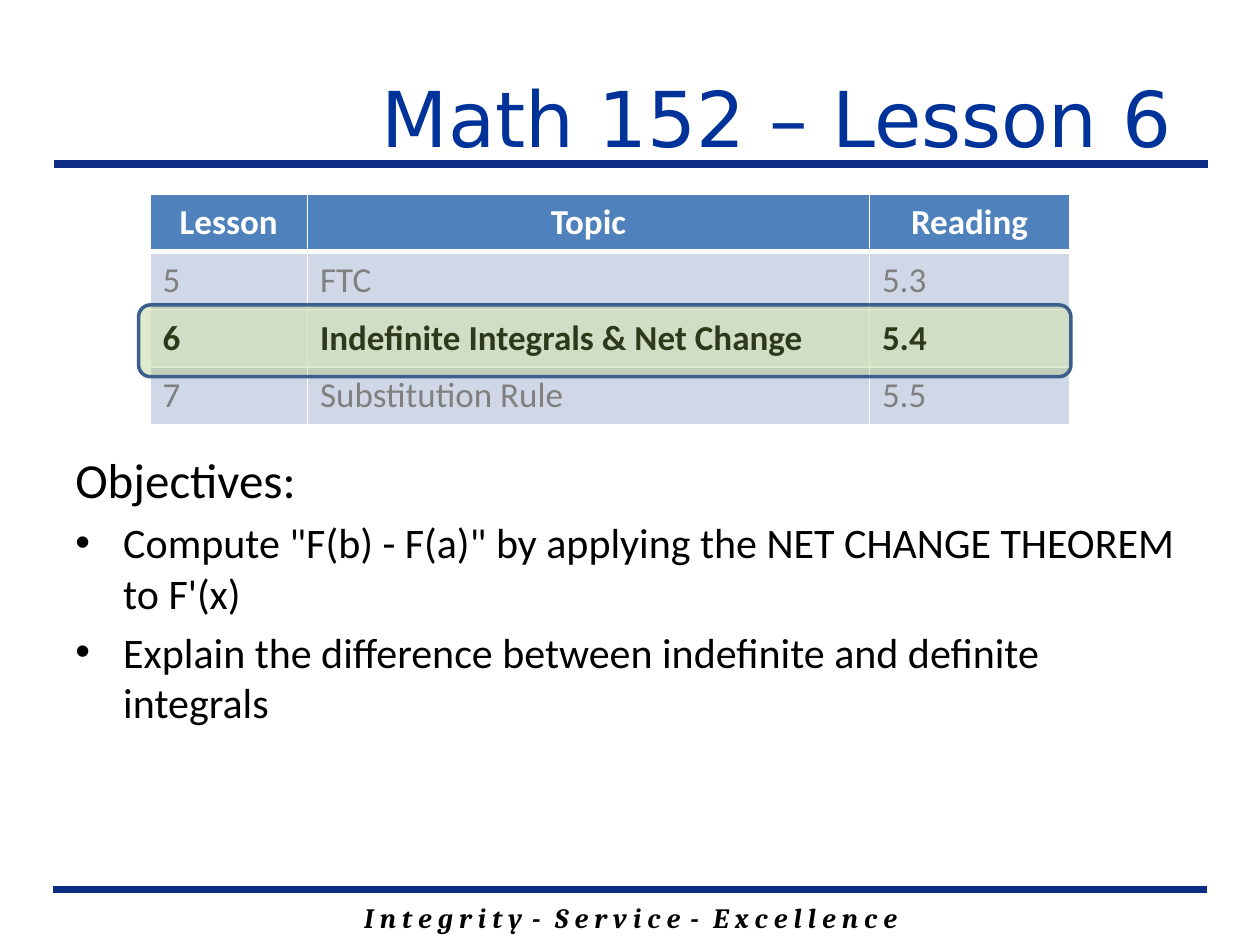
from dataclasses import dataclass

import pptx
import pptx.dml.color
import pptx.enum.shapes
import pptx.enum.text
import pptx.oxml
import pptx.oxml.ns
import pptx.util
from pptx.util import Inches

ALIGN = pptx.enum.text.PP_ALIGN
ANCHOR = pptx.enum.text.MSO_ANCHOR


@dataclass(frozen=True)
class Theme:
    title_color: str = "003399"
    rule_color: str = "0C2D83"
    ink: str = "000000"
    paper: str = "FFFFFF"
    muted: str = "808080"
    header_fill: str = "4F81BD"
    row_fills: tuple = ("D0D8E8", "E9EDF4")
    highlight: str = "9BBB59"
    highlight_line: str = "3A5F8C"
    body_font: str = "Calibri"
    title_font: str = "DejaVu Sans"
    footer_font: str = "Cambria"
    title_size: int = 44
    heading_size: int = 28
    bullet_size: int = 24
    table_size: int = 20
    footer_size: int = 16


THEME = Theme()
LESSONS = [
    ("Lesson", "Topic", "Reading"),
    ("5", "FTC", "5.3"),
    ("6", "Indefinite Integrals & Net Change", "5.4"),
    ("7", "Substitution Rule", "5.5"),
]
CURRENT_LESSON = 2
OBJECTIVES = [
    "Compute \"F(b) - F(a)\" by applying the NET CHANGE THEOREM to F'(x)",
    "Explain the difference between indefinite and definite integrals",
]
MOTTO = ("I n t e g r i t y", "S e r v i c e", "E x c e l l e n c e")


def rgb(color):
    return pptx.dml.color.RGBColor.from_string(color)


def add_xml(parent, xml):
    element = pptx.oxml.parse_xml(
        xml.replace(" ", f" {pptx.oxml.ns.nsdecls('a')} ", 1))
    parent.append(element)


def style_runs(paragraph, font, size, color, bold=False, italic=False):
    for run in paragraph.runs:
        run.font.name = font
        run.font.size = pptx.util.Pt(size)
        run.font.color.rgb = rgb(color)
        run.font.bold = bold
        run.font.italic = italic


def add_title(slide, text):
    title = slide.shapes.title
    title.left, title.top = Inches(1.8), Inches(0.3)
    title.width, title.height = Inches(7.8), Inches(1.25)
    title.text_frame.text = text
    title.text_frame.vertical_anchor = ANCHOR.MIDDLE
    paragraph = title.text_frame.paragraphs[0]
    paragraph.alignment = ALIGN.RIGHT
    style_runs(paragraph, THEME.title_font, THEME.title_size, THEME.title_color)


def add_rule(slide, left, top):
    rule = slide.shapes.add_connector(
        pptx.enum.shapes.MSO_CONNECTOR.STRAIGHT,
        Inches(left), Inches(top), Inches(left + 9.16), Inches(top))
    rule.line.color.rgb = rgb(THEME.rule_color)
    rule.line.width = pptx.util.Pt(4.5)
    add_xml(rule._element.spPr, "<a:effectLst />")


def add_text_frame(slide, left, top, width, height):
    box = slide.shapes.add_textbox(
        Inches(left), Inches(top), Inches(width), Inches(height))
    box.text_frame.word_wrap = True
    return box.text_frame


def add_motto(slide):
    paragraph = add_text_frame(slide, 1.42, 7.1, 7.17, 0.37).paragraphs[0]
    paragraph.alignment = ALIGN.CENTER
    for index, word in enumerate(MOTTO):
        if index:
            dash = paragraph.add_run()
            dash.text = " - "
            # Tracking in hundredths of a point widens the gaps around the dash.
            dash.font._element.set("spc", "230")
        paragraph.add_run().text = word
    style_runs(paragraph, THEME.footer_font, THEME.footer_size, THEME.ink,
               bold=True, italic=True)


def add_objectives(slide):
    frame = add_text_frame(slide, 0.5, 3.52, 9, 3.18)
    frame.text = "Objectives:"
    style_runs(frame.paragraphs[0], THEME.body_font, THEME.heading_size, THEME.ink)
    for objective in OBJECTIVES:
        paragraph = frame.add_paragraph()
        paragraph.text = objective
        paragraph.space_before = pptx.util.Pt(0.2 * THEME.bullet_size)
        properties = paragraph._p.get_or_add_pPr()
        properties.set("marL", str(Inches(0.38)))
        properties.set("indent", str(Inches(-0.38)))
        add_xml(properties, '<a:buFont typeface="Arial"/>')
        add_xml(properties, '<a:buChar char="•"/>')
        style_runs(paragraph, THEME.body_font, THEME.bullet_size, THEME.ink)


def set_borders(cell, top, bottom):
    """Draw the four cell edges; top and bottom are widths in points."""
    properties = cell._tc.get_or_add_tcPr()
    for edge, width in (("L", 1), ("R", 1), ("T", top), ("B", bottom)):
        add_xml(properties,
                f'<a:ln{edge} w="{pptx.util.Pt(width)}"><a:solidFill>'
                f'<a:srgbClr val="{THEME.paper}"/></a:solidFill></a:ln{edge}>')


def style_cell(cell, row):
    is_header = row == 0
    is_current = row == CURRENT_LESSON
    set_borders(cell, top=3 if row == 1 else 1, bottom=3 if is_header else 1)
    cell.fill.solid()
    cell.fill.fore_color.rgb = rgb(
        THEME.header_fill if is_header else THEME.row_fills[(row - 1) % 2])
    cell.vertical_anchor = ANCHOR.MIDDLE
    paragraph = cell.text_frame.paragraphs[0]
    paragraph.alignment = ALIGN.CENTER if is_header else ALIGN.LEFT
    color = THEME.paper if is_header else THEME.ink if is_current else THEME.muted
    style_runs(paragraph, THEME.body_font, THEME.table_size, color,
               bold=is_header or is_current)


def add_lesson_table(slide):
    schedule = slide.shapes.add_table(
        len(LESSONS), len(LESSONS[0]),
        Inches(1.19), Inches(1.54), Inches(7.3), Inches(1.83)).table
    for column, width in zip(schedule.columns, (1.25, 4.46, 1.59)):
        column.width = Inches(width)
    for row, lesson in enumerate(LESSONS):
        for column, text in enumerate(lesson):
            cell = schedule.cell(row, column)
            cell.text_frame.text = text
            style_cell(cell, row)


def add_highlight(slide):
    highlight = slide.shapes.add_shape(
        pptx.enum.shapes.MSO_SHAPE.ROUNDED_RECTANGLE,
        Inches(1.1), Inches(2.42), Inches(7.4), Inches(0.57))
    highlight.shadow.inherit = False
    highlight.fill.solid()
    highlight.fill.fore_color.rgb = rgb(THEME.highlight)
    tint = highlight._element.spPr.find(
        f"{pptx.oxml.ns.qn('a:solidFill')}/{pptx.oxml.ns.qn('a:srgbClr')}")
    add_xml(tint, '<a:alpha val="30000"/>')
    highlight.line.color.rgb = rgb(THEME.highlight_line)
    highlight.line.width = pptx.util.Pt(2)


def main():
    deck = pptx.Presentation()
    deck.slide_width, deck.slide_height = Inches(10), Inches(7.5)
    slide = deck.slides.add_slide(deck.slide_layouts.get_by_name("Title Only"))
    add_motto(slide)
    add_rule(slide, 0.42, 7.06)
    add_rule(slide, 0.43, 1.3)
    add_title(slide, "Math 152 – Lesson 6 ")
    add_objectives(slide)
    add_lesson_table(slide)
    add_highlight(slide)
    deck.save("out.pptx")


if __name__ == "__main__":
    main()
